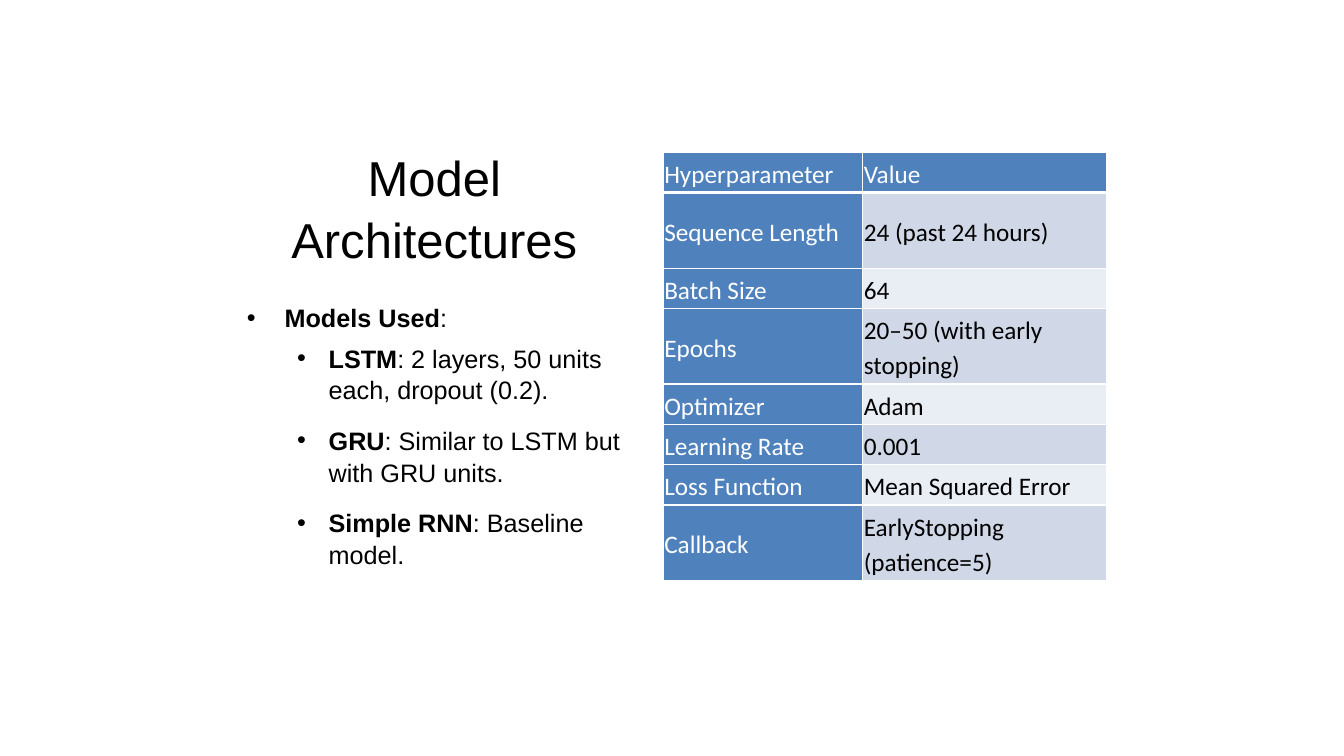
"""Build the model architectures slide."""
from dataclasses import dataclass

from lxml import etree
from pptx import Presentation
from pptx.dml.color import RGBColor
from pptx.enum import text as t
from pptx.oxml.ns import qn
from pptx.util import Pt


@dataclass(frozen=True)
class Theme:
    """Colours, fonts and type sizes of the slide."""
    ink: str = "000000"
    paper: str = "FFFFFF"
    accent: str = "4F81BD"
    bands: tuple = ("D0D8E8", "E9EDF4")
    text_font: str = "Arial"
    table_font: str = "Calibri"
    title_size: float = 35
    body_size: float = 18


THEME = Theme()
TITLE_BOX = (169.2, 42.5, 282.2, 152.6)
MODELS_BOX = (169.2, 211.7, 282.2, 270.7)
TABLE_BOX = (473.8, 108.7, 316.8, 306)

MODELS = [
    ("Models Used", ":"),
    ("LSTM", ": 2 layers, 50 units each, dropout (0.2)."),
    ("GRU", ": Similar to LSTM but with GRU units."),
    ("Simple RNN", ": Baseline model."),
]
HYPERPARAMETERS = [
    ("Hyperparameter", "Value", 28.8),
    ("Sequence Length", "24 (past 24 hours)", 54),
    ("Batch Size", "64", 28.8),
    ("Epochs", "20–50 (with early stopping)", 54),
    ("Optimizer", "Adam", 28.8),
    ("Learning Rate", "0.001", 28.8),
    ("Loss Function", "Mean Squared Error", 28.8),
    ("Callback", "EarlyStopping (patience=5)", 54),
]
NAME_SHARE = 0.45


def set_font(para, name, size, color):
    """Set the typeface, size and colour of a paragraph."""
    para.font.name = name
    para.font.size = Pt(size)
    para.font.color.rgb = RGBColor.from_string(color)


def set_spacing(para, before, after, lines):
    """Set the space around a paragraph and its line spacing."""
    para.space_before, para.space_after = Pt(before), Pt(after)
    para.line_spacing = lines


def add_bullet(para, margin, hanging):
    """Give a paragraph a round bullet with a hanging indent."""
    properties = para._p.get_or_add_pPr()
    properties.set("marL", str(Pt(margin)))
    properties.set("indent", str(-Pt(hanging)))
    etree.SubElement(properties, qn("a:buFont")).set("typeface", THEME.text_font)
    etree.SubElement(properties, qn("a:buChar")).set("char", "•")


def add_border(cell, side, width):
    """Draw one border of a table cell."""
    line = etree.SubElement(cell._tc.get_or_add_tcPr(), qn(f"a:ln{side}"), w=str(Pt(width)))
    fill = etree.SubElement(line, qn("a:solidFill"))
    etree.SubElement(fill, qn("a:srgbClr"), val=THEME.paper)


def place_title(slide, box):
    """Place the title at the bottom of its box."""
    title = slide.shapes.title
    title.left, title.top, title.width, title.height = map(Pt, box)
    frame = title.text_frame
    frame.text = "Model Architectures"
    frame.word_wrap = True
    frame.auto_size = t.MSO_AUTO_SIZE.NONE
    frame.vertical_anchor = t.MSO_ANCHOR.BOTTOM
    para = frame.paragraphs[0]
    para.alignment = t.PP_ALIGN.CENTER
    set_spacing(para, 0, 10.3, 1.05)
    set_font(para, THEME.text_font, THEME.title_size, THEME.ink)


def place_models(slide, box):
    """Place the heading bullet and the models below it."""
    frame = slide.shapes.add_textbox(*map(Pt, box)).text_frame
    frame.word_wrap = True
    for index, (name, detail) in enumerate(MODELS):
        para = frame.add_paragraph() if index else frame.paragraphs[0]
        if index:
            para.level = 1
            add_bullet(para, 58.5, 22.5)
            set_spacing(para, 3, 10.3, 1.05)
        else:
            add_bullet(para, 27, 27)
            set_spacing(para, 0, 3, 1.05)
        set_font(para, THEME.text_font, THEME.body_size, THEME.ink)
        span = para.add_run()
        span.text = name
        span.font.bold = True
        para.add_run().text = detail


def fill_cell(cell, words, row, column):
    """Write and format one cell of the table."""
    header = row == 0 or column == 0
    cell.vertical_anchor = t.MSO_ANCHOR.MIDDLE
    cell.margin_left = cell.margin_right = Pt(0.7)
    cell.margin_top = cell.margin_bottom = Pt(0.7)
    for side in "LRTB":
        heavy = (row, side) in ((0, "B"), (1, "T"))
        add_border(cell, side, 3 if heavy else 1)
    cell.fill.solid()
    shade = THEME.accent if header else THEME.bands[(row - 1) % 2]
    cell.fill.fore_color.rgb = RGBColor.from_string(shade)
    cell.text = words
    para = cell.text_frame.paragraphs[0]
    set_spacing(para, 0, 8, 1.15)
    set_font(para, THEME.table_font, THEME.body_size, THEME.paper if header else THEME.ink)
    para.font.bold = False


def place_table(slide, box):
    """Place the table of hyperparameters."""
    table = slide.shapes.add_table(len(HYPERPARAMETERS), 2, *map(Pt, box)).table
    table.first_row = table.horz_banding = False
    for column, share in zip(table.columns, (NAME_SHARE, 1 - NAME_SHARE)):
        column.width = Pt(box[2] * share)
    for row, (name, value, height) in enumerate(HYPERPARAMETERS):
        table.rows[row].height = Pt(height)
        for column, words in enumerate((name, value)):
            fill_cell(table.cell(row, column), words, row, column)


def main():
    """Build and save the deck."""
    deck = Presentation()
    deck.slide_width, deck.slide_height = Pt(960), Pt(540)
    slide = deck.slides.add_slide(deck.slide_layouts[5])
    place_title(slide, TITLE_BOX)
    place_models(slide, MODELS_BOX)
    place_table(slide, TABLE_BOX)
    deck.save("out.pptx")


if __name__ == "__main__":
    main()
